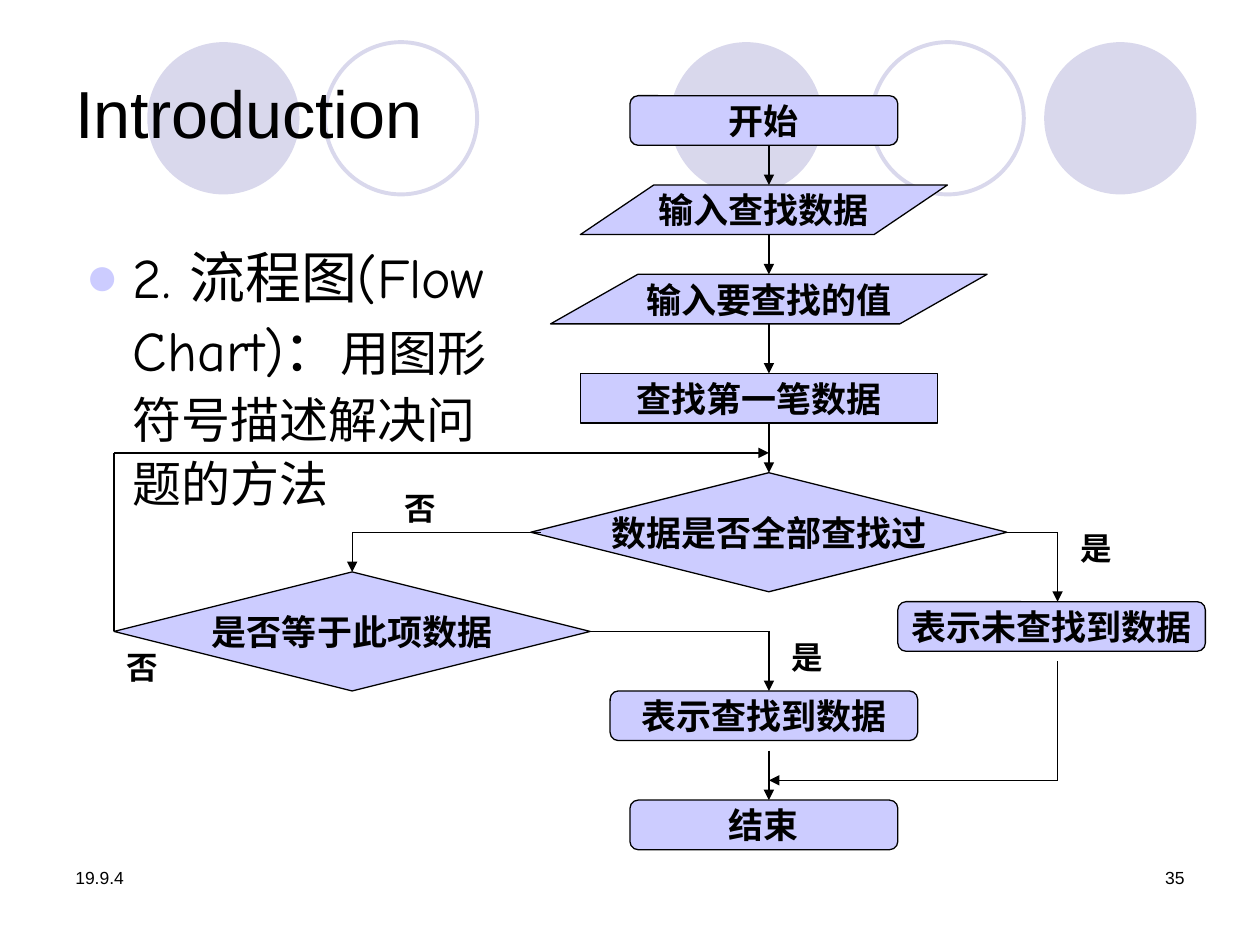
from dataclasses import dataclass

from lxml.etree import SubElement
from pptx import Presentation
from pptx.dml.color import RGBColor
from pptx.enum.shapes import MSO_CONNECTOR, MSO_SHAPE
from pptx.enum.text import MSO_ANCHOR, PP_ALIGN
from pptx.oxml.ns import qn
from pptx.util import Cm, Pt


@dataclass(frozen=True)
class Theme:
    ink: RGBColor = RGBColor(0, 0, 0)
    node: RGBColor = RGBColor(0xCC, 0xCC, 0xFF)
    circle: RGBColor = RGBColor(0xD9, 0xD8, 0xEC)
    base_font: str = "Arial"
    body_font: str = "Comic Neue"
    chart_font: str = "Roboto"
    title: float = 38
    lead: float = 32
    body: float = 28
    node_text: float = 20
    label: float = 18
    footer: float = 10
    line: float = 0.75
    ring: float = 2.25


T = Theme()


def add_run(p, text, size, font, bold=False):
    r = p.add_run()
    r.text = text
    r.font.size, r.font.name, r.font.bold = Pt(size), font, bold
    r.font.color.rgb = T.ink
    SubElement(r.font._element, qn("a:ea"), typeface=font)


def add_text(s, box, anchor=MSO_ANCHOR.TOP):
    tf = s.shapes.add_textbox(*map(Cm, box)).text_frame
    tf.word_wrap = True
    tf.vertical_anchor = anchor
    return tf.paragraphs[0]


def add_shape(s, kind, box, fill=None, line=None, width=T.line):
    sp = s.shapes.add_shape(kind, *map(Cm, box))
    sp.shadow.inherit = False
    if fill is None:
        sp.fill.background()
    else:
        sp.fill.solid()
        sp.fill.fore_color.rgb = fill
    if line is None:
        sp.line.fill.background()
    else:
        sp.line.color.rgb = line
        sp.line.width = Pt(width)
    return sp


def add_line(s, start, end, arrow):
    c = s.shapes.add_connector(MSO_CONNECTOR.STRAIGHT, *map(Cm, start + end))
    c.line.color.rgb = T.ink
    c.line.width = Pt(T.line)
    SubElement(c._element.spPr, qn("a:effectLst"))
    if arrow:
        SubElement(c.line._get_or_add_ln(), qn("a:tailEnd"), type="triangle")


def circles(s, x, y, size):
    for dx in (0, 10.54, 18.08):
        add_shape(s, MSO_SHAPE.OVAL, (x + dx, y, size, size), fill=T.circle)
    for dx in (3.58, 14.6):
        add_shape(s, MSO_SHAPE.OVAL, (x + dx, y, size, size),
                  line=T.circle, width=T.ring)


def title(s, box):
    p = add_text(s, box, MSO_ANCHOR.MIDDLE)
    p.line_spacing = 0.9
    add_run(p, "Introduction", T.title, T.base_font)


def body(s, box):
    p = add_text(s, box)
    p.line_spacing = 1.1
    # Hanging bullet
    pPr = p._p.get_or_add_pPr()
    pPr.set("marL", str(Cm(0.96)))
    pPr.set("indent", str(Cm(-0.96)))
    SubElement(SubElement(pPr, qn("a:buClr")), qn("a:srgbClr"), val=str(T.node))
    SubElement(pPr, qn("a:buFont"), typeface=T.base_font)
    SubElement(pPr, qn("a:buChar"), char="●")
    add_run(p, "2. 流程图(Flow Chart)：", T.lead, T.body_font)
    add_run(p, "用图形符号描述解决问题的方法", T.body, T.body_font)


def footer(s, x, y, w, h):
    cell = 5.92
    add_run(add_text(s, (x, y, cell, h)), "19.9.4", T.footer, T.base_font)
    p = add_text(s, (x + w - cell, y, cell, h))
    p.alignment = PP_ALIGN.RIGHT
    add_run(p, "35", T.footer, T.base_font)


def flow_chart(s, x, y):
    terminal = MSO_SHAPE.FLOWCHART_ALTERNATE_PROCESS
    data = MSO_SHAPE.FLOWCHART_DATA
    process = MSO_SHAPE.FLOWCHART_PROCESS
    decision = MSO_SHAPE.FLOWCHART_DECISION
    step_h, decision_h = 1, 2.4
    left, main, right = 4.8, 13.2, 19.02  # vertical axes

    # Nodes: kind, left, top, width, text
    nodes = [
        (terminal, 10.4, 0, 5.4, "开始"),
        (data, 9.4, 1.8, 7.4, "输入查找数据"),
        (data, 8.8, 3.6, 8.8, "输入要查找的值"),
        (process, 9.4, 5.6, 7.2, "查找第一笔数据"),
        (decision, 8.4, 7.6, 9.6, "数据是否全部查找过"),
        (decision, 0, 9.6, 9.6, "是否等于此项数据"),
        (terminal, 15.8, 10.2, 6.2, "表示未查找到数据"),
        (terminal, 10, 12, 6.2, "表示查找到数据"),
        (terminal, 10.4, 14.2, 5.4, "结束"),
    ]
    for kind, dx, dy, w, text in nodes:
        h = decision_h if kind == decision else step_h
        sp = add_shape(s, kind, (x + dx, y + dy, w, h), T.node, T.ink)
        tf = sp.text_frame
        tf.word_wrap = False
        tf.vertical_anchor = MSO_ANCHOR.MIDDLE
        p = tf.paragraphs[0]
        p.alignment = PP_ALIGN.CENTER
        add_run(p, text, T.node_text, T.chart_font, bold=True)

    # Routes: the last segment of each carries the arrowhead
    routes = [
        [(main, 1), (main, 1.8)],
        [(main, 2.8), (main, 3.6)],
        [(main, 4.6), (main, 5.6)],
        [(main, 6.6), (main, 7.6)],
        [(18, 8.8), (right, 8.8), (right, 10.2)],
        [(8.6, 8.8), (left, 8.8), (left, 9.6)],
        [(0, 10.8), (0, 7.2), (main, 7.2)],
        [(9.6, 10.8), (main, 10.8), (main, 12)],
        [(main, 13.2), (main, 14.2)],
        [(right, 11.4), (right, 13.8), (main, 13.8)],
    ]
    for route in routes:
        points = [(x + dx, y + dy) for dx, dy in route]
        for start, end in zip(points, points[1:]):
            add_line(s, start, end, arrow=end == points[-1])

    # Branch labels
    for text, dx, dy in (("是", 19.23, 8.6), ("是", 13.4, 10.8),
                         ("否", 5.6, 7.8), ("否", 0, 11)):
        p = add_text(s, (x + dx, y + dy, 1.4, 1.02))
        add_run(p, text, T.label, T.chart_font, bold=True)


def main():
    prs = Presentation()
    prs.slide_width, prs.slide_height = Cm(25.4), Cm(19.05)
    s = prs.slides.add_slide(prs.slide_layouts[6])
    circles(s, 2.97, 0.85, 3.07)
    footer(s, 1.27, 17.35, 22.86, 1.27)
    title(s, (1.27, 0.76, 22.86, 3.18))
    body(s, (1.47, 4.62, 9.14, 5.77))
    flow_chart(s, 2.3, 1.93)
    prs.save("out.pptx")


if __name__ == "__main__":
    main()
